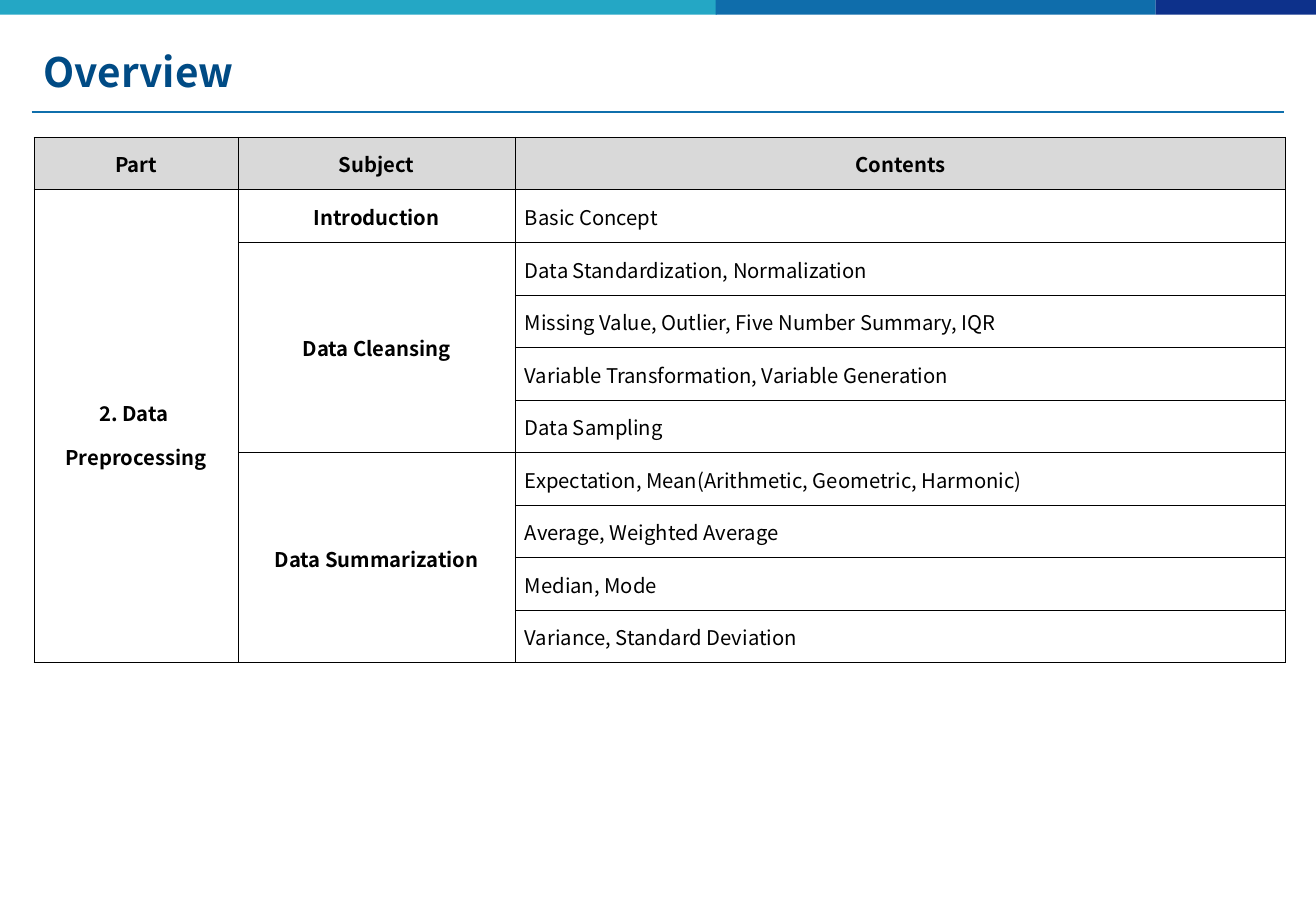
from lxml import etree
from pptx import Presentation
from pptx.dml.color import RGBColor
from pptx.enum.shapes import MSO_CONNECTOR, MSO_SHAPE
from pptx.enum.text import MSO_ANCHOR, PP_ALIGN
from pptx.oxml import parse_xml
from pptx.oxml.ns import nsdecls, qn
from pptx.util import Inches, Pt

LEFT, CENTER = PP_ALIGN.LEFT, PP_ALIGN.CENTER
MIDDLE = MSO_ANCHOR.MIDDLE
RECT, STRAIGHT = MSO_SHAPE.RECTANGLE, MSO_CONNECTOR.STRAIGHT
FONT = "Noto Sans CJK KR"
COLORS = {
    "teal": "24A7C5", "blue": "0F6DAB", "navy": "0D318B", "rule": "0F6FAC",
    "title": "004B85", "text": "000000", "header": "D9D9D9", "body": "FFFFFF",
}


def rgb(name):
    return RGBColor.from_string(COLORS[name])


def write(tf, text, size=12, color="text", bold=True, align=CENTER, spacing=None):
    tf.word_wrap = True
    p = tf.paragraphs[0]
    p.text = text
    p.alignment = align
    p.line_spacing = spacing
    for r in p.runs:
        r.font.name = FONT
        r.font.size = Pt(size)
        r.font.bold = bold
        r.font.color.rgb = rgb(color)


prs = Presentation()
prs.slide_width, prs.slide_height = Inches(10.83), Inches(7.5)
s = prs.slides.add_slide(prs.slide_layouts[6])

rule = s.shapes.add_connector(STRAIGHT, Inches(0.26), Inches(0.92), Inches(10.57), Inches(0.92))
rule.line.color.rgb = rgb("rule")
rule.line.width = Pt(1)
etree.SubElement(rule._element.spPr, qn("a:effectLst"))

for color, left, right in [("teal", 0, 5.9), ("blue", 5.89, 9.51), ("navy", 9.51, 10.83)]:
    sp = s.shapes.add_shape(RECT, Inches(left), 0, Inches(right - left), Inches(0.12))
    sp.shadow.inherit = False
    sp.fill.solid()
    sp.fill.fore_color.rgb = rgb(color)
    sp.line.fill.background()

title = s.shapes.add_textbox(Inches(0.26), Inches(0.27), Inches(10.32), Inches(0.64))
title.text_frame.vertical_anchor = MIDDLE
write(title.text_frame, "Overview", size=24, color="title", align=LEFT)

headers = ["Part", "Subject", "Contents"]
part = "2. Data \vPreprocessing"
subjects = {
    "Introduction": ["Basic Concept"],
    "Data Cleansing": [
        "Data Standardization, Normalization",
        "Missing Value, Outlier, Five Number Summary, IQR",
        "Variable Transformation, Variable Generation",
        "Data Sampling",
    ],
    "Data Summarization": [
        "Expectation, Mean(Arithmetic, Geometric, Harmonic)",
        "Average, Weighted Average",
        "Median, Mode",
        "Variance, Standard Deviation",
    ],
}
last = sum(len(contents) for contents in subjects.values())
table = s.shapes.add_table(last + 1, len(headers), Inches(0.28), Inches(1.13),
                           Inches(10.3), Inches(4.33)).table
for column, width in zip(table.columns, [1.68, 2.28, 6.34]):
    column.width = Inches(width)

for i, row in enumerate(table.rows):
    row.height = Inches(4.33 / (last + 1))
    for cell in row.cells:
        cell.vertical_anchor = MIDDLE
        cell.margin_left = cell.margin_right = cell.margin_top = Inches(0.01)
        cell.margin_bottom = 0
        cell.fill.solid()
        cell.fill.fore_color.rgb = rgb("body" if i else "header")
        tcPr = cell._tc.get_or_add_tcPr()
        for n, side in enumerate("LRTB"):
            tcPr.insert(n, parse_xml(
                f'<a:ln{side} {nsdecls("a")} w="{Pt(0.5)}"><a:solidFill>'
                f'<a:srgbClr val="{COLORS["text"]}"/></a:solidFill></a:ln{side}>'))

for col, header in enumerate(headers):
    write(table.cell(0, col).text_frame, header)

table.cell(1, 0).merge(table.cell(last, 0))
write(table.cell(1, 0).text_frame, part, spacing=1.5)

top = 1
for subject, contents in subjects.items():
    cell = table.cell(top, 1)
    if len(contents) > 1:
        cell.merge(table.cell(top + len(contents) - 1, 1))
    write(cell.text_frame, subject)
    for i, content in enumerate(contents, top):
        cell = table.cell(i, 2)
        cell.margin_left = Inches(0.08)
        write(cell.text_frame, content, bold=False, align=LEFT)
    top += len(contents)

prs.save("out.pptx")
